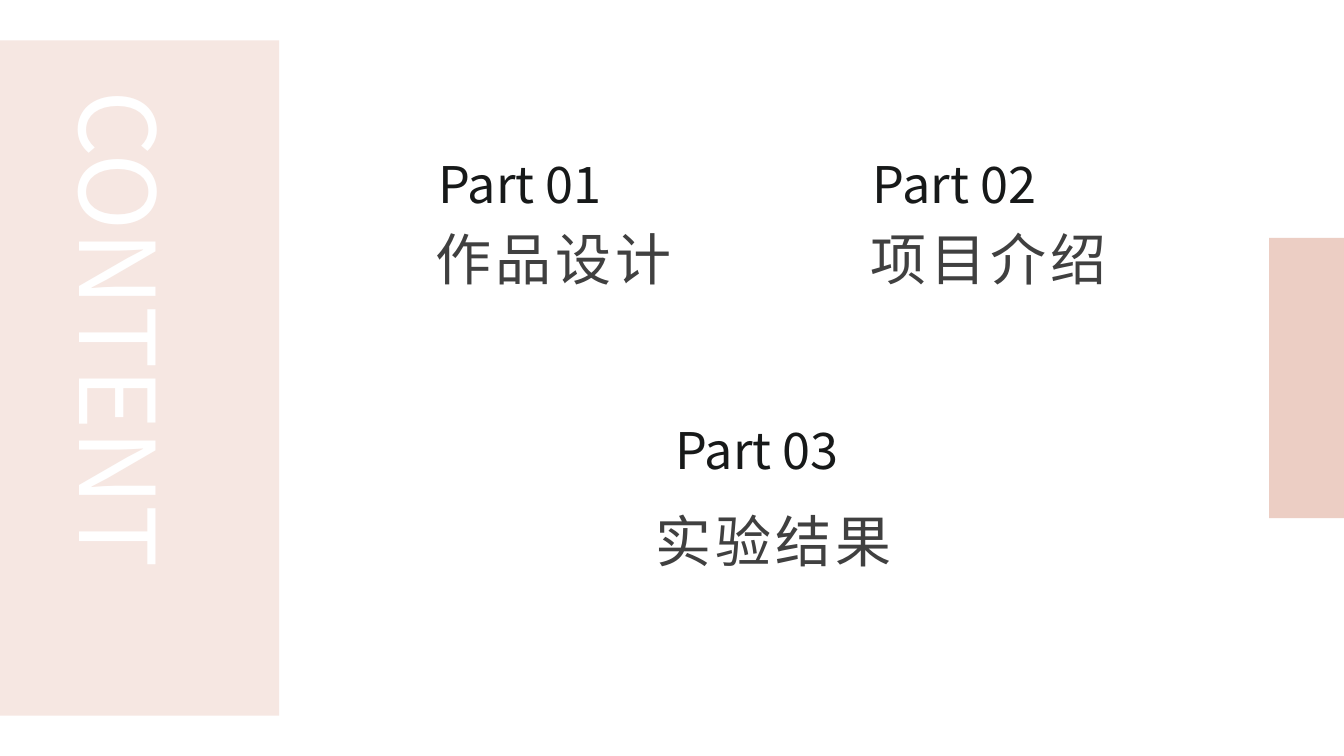
from dataclasses import dataclass

from lxml import etree
from pptx import Presentation
from pptx.dml.color import RGBColor as RGB
from pptx.enum.shapes import MSO_SHAPE as SHAPE
from pptx.enum.text import MSO_AUTO_SIZE as FIT, PP_ALIGN as ALIGN
from pptx.oxml.ns import qn
from pptx.util import Pt


@dataclass(frozen=True)
class Theme:
    font: str = "Noto Sans CJK SC"
    blush: str = "F6E7E2"
    rose: str = "ECCEC4"
    white: str = "FFFFFF"
    ink: str = "171919"
    grey: str = "404040"
    banner: float = 74.5
    label: float = 36
    title: float = 40


THEME = Theme()


def add_text(slide, text, box, size, color, align=ALIGN.LEFT,
             track=0, upright=True):
    """Write one line; track is letter spacing in points.

    Text that is not upright is turned clockwise and has no margins.
    """
    frame = slide.shapes.add_textbox(*map(Pt, box)).text_frame
    frame.word_wrap = True
    if upright:
        frame.auto_size = FIT.SHAPE_TO_FIT_TEXT
    else:
        frame.margin_left = frame.margin_right = 0
        frame.margin_top = frame.margin_bottom = 0
        frame._txBody.bodyPr.set("vert", "vert")
    para = frame.paragraphs[0]
    para.alignment = align
    run = para.add_run()
    run.text = text
    font = run.font
    font.name, font.size = THEME.font, Pt(size)
    font.color.rgb = RGB.from_string(color)
    props = run._r.get_or_add_rPr()
    etree.SubElement(props, qn("a:ea"), typeface=THEME.font)
    if track:
        props.set("spc", str(track * 100))


def add_block(slide, box, color):
    block = slide.shapes.add_shape(SHAPE.RECTANGLE, *map(Pt, box))
    block.shadow.inherit = False
    block.fill.solid()
    block.fill.fore_color.rgb = RGB.from_string(color)
    block.line.fill.background()


def add_banner(slide, box):
    left, top, _, height = box
    add_block(slide, box, THEME.blush)
    add_text(slide, "CONTENT", (left + 23.5, top + 35.8, 108, height - 72),
             THEME.banner, THEME.white, upright=False)


def add_part(slide, box, label, title, inset=9.4, drop=51.1):
    """Put the label inset from the left, and the title drop below it."""
    left, top, width, height = box
    add_text(slide, label, (left + inset, top, width - inset, 51.1),
             THEME.label, THEME.ink)
    add_text(slide, title, (left, top + drop, width, height - drop),
             THEME.title, THEME.grey, ALIGN.CENTER, track=3)


def main():
    deck = Presentation()
    deck.slide_width, deck.slide_height = Pt(960), Pt(540)
    slide = deck.slides.add_slide(deck.slide_layouts[6])
    add_banner(slide, (0, 28.8, 199.4, 482.4))
    add_block(slide, (906.5, 169.9, 53.5, 200.2), THEME.rose)
    add_part(slide, (296.6, 105.8, 198, 106.5), "Part 01", "作品设计")
    add_part(slide, (607, 105.8, 198, 106.5), "Part 02", "项目介绍")
    add_part(slide, (453.6, 295.9, 198, 118), "Part 03", "实验结果",
             inset=21.6, drop=62.6)
    deck.save("out.pptx")


if __name__ == "__main__":
    main()
